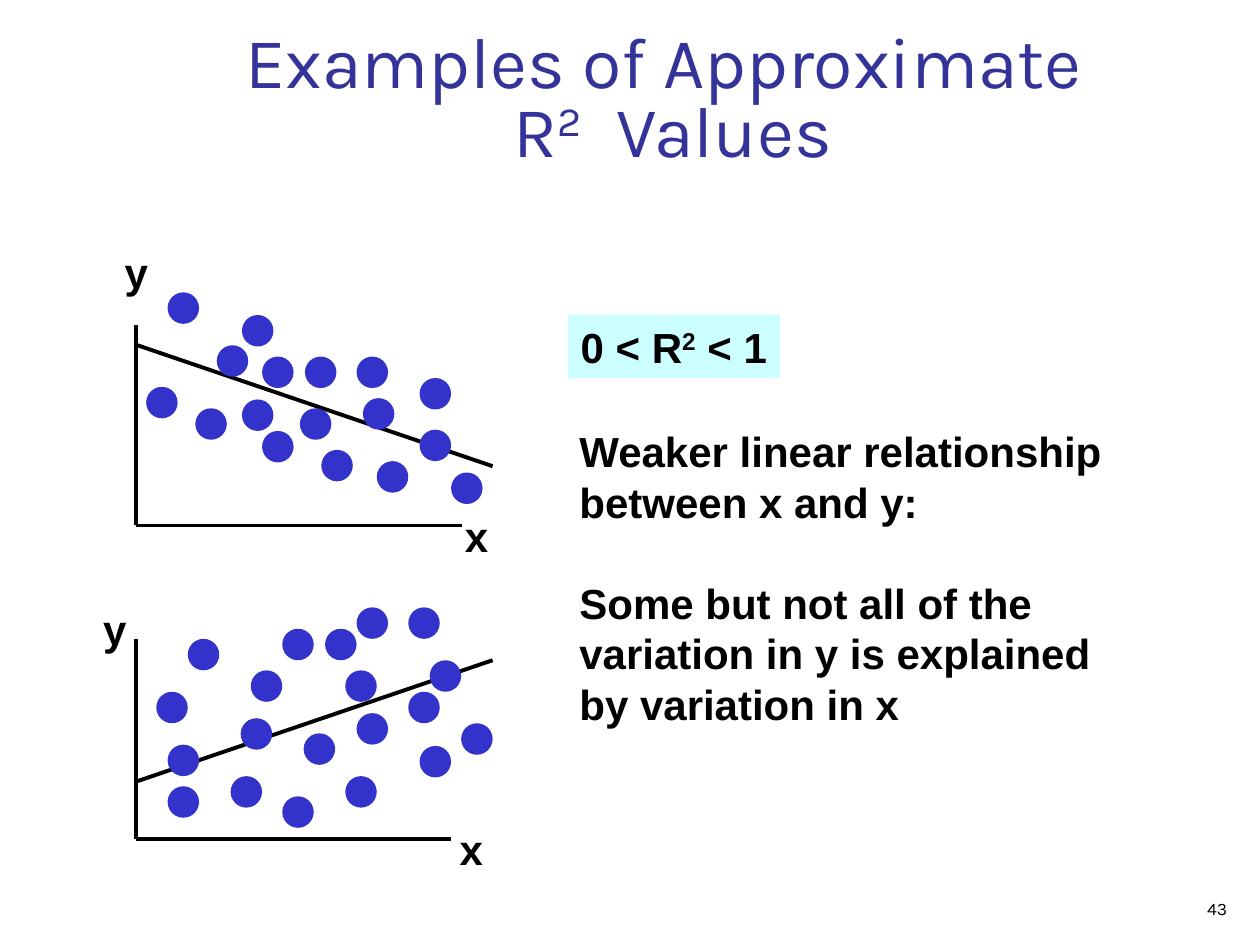
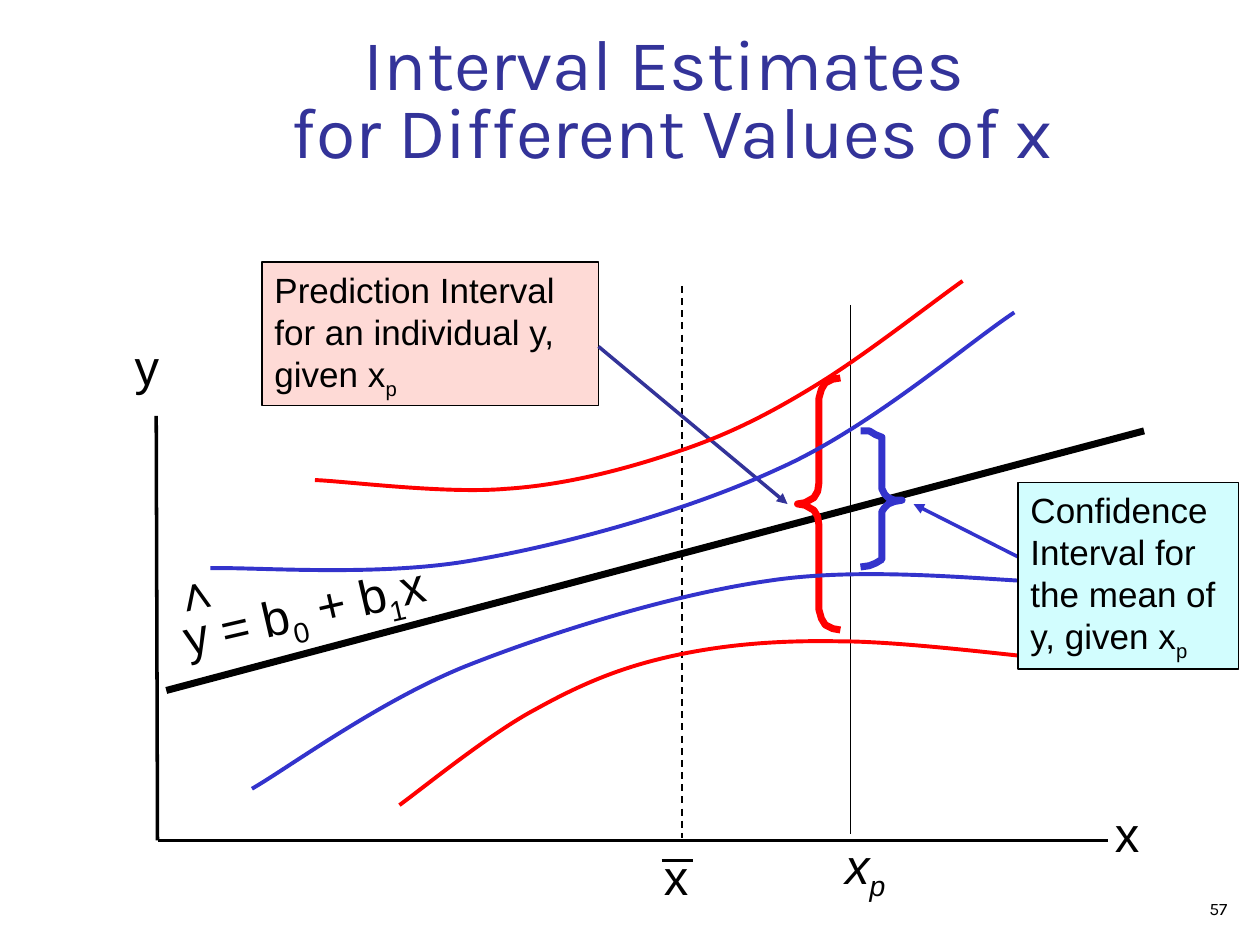
"""Build two regression slides: approximate R² values and interval estimates."""
from lxml.etree import SubElement
from pptx import Presentation
from pptx.dml.color import RGBColor
from pptx.enum.dml import MSO_LINE
from pptx.enum.shapes import MSO_CONNECTOR as CONNECTOR, MSO_SHAPE as SHAPE
from pptx.enum.text import MSO_ANCHOR as ANCHOR, PP_ALIGN as ALIGN
from pptx.oxml.ns import qn
from pptx.util import Pt

PX = 9144
BLACK = RGBColor(0x00, 0x00, 0x00)
INDIGO = RGBColor(0x33, 0x33, 0x99)
BLUE = RGBColor(0x33, 0x33, 0xCC)
RED = RGBColor(0xFF, 0x00, 0x00)
CYAN = RGBColor(0xCC, 0xFF, 0xFF)
PALE_CYAN = RGBColor(0xD2, 0xFD, 0xFE)
PINK = RGBColor(0xFE, 0xDA, 0xD6)
BASELINES = {"^": "30000", "_": "-25000"}
DOT = 25


def write(frame, *paragraphs, size=24, font="Arial", color=BLACK, bold=False, italic=False,
          align=ALIGN.LEFT, anchor=ANCHOR.TOP, wrap=True, spacing=None, gap=0, inset=10,
          tracking=0):
    """Fill a frame; "|" splits runs, ^ or _ raises or lowers one, tracking widens those."""
    frame.word_wrap = wrap
    frame.vertical_anchor = anchor
    frame.margin_left = frame.margin_right = inset * PX
    frame.margin_top = frame.margin_bottom = 5 * PX
    for number, text in enumerate(paragraphs):
        paragraph = frame.add_paragraph() if number else frame.paragraphs[0]
        paragraph.alignment = align
        paragraph.line_spacing = spacing
        if number:
            paragraph.space_before = Pt(gap)
        for piece in text.split("|"):
            baseline = BASELINES.get(piece[:1])
            for row, words in enumerate(piece[1 if baseline else 0:].split("\n")):
                if row:
                    paragraph.add_line_break()
                run = paragraph.add_run()
                run.text = words
                run.font.name, run.font.size = font, Pt(size)
                run.font.bold, run.font.italic = bold, italic
                run.font.color.rgb = color
                if baseline:
                    run.font._element.set("baseline", baseline)
                    if tracking:
                        run.font._element.set("spc", str(tracking * 100))


class Deck:
    """Hold the shared style and the current slide."""

    def __init__(self):
        self.presentation = Presentation()
        self.presentation.slide_width = 1000 * PX
        self.presentation.slide_height = 750 * PX
        self.shapes = None

    def slide(self, title, page, top, height):
        """Start a slide with its title and page number."""
        layout = self.presentation.slide_layouts[6]
        self.shapes = self.presentation.slides.add_slide(layout).shapes
        self.text((108, top, 852, height), title, size=41, font="Karla", color=INDIGO,
                  align=ALIGN.CENTER, anchor=ANCHOR.BOTTOM, spacing=0.8, inset=9, tracking=10)
        self.text((775, 700, 208, 34), page, size=10, font="Karla",
                  align=ALIGN.RIGHT, anchor=ANCHOR.BOTTOM, inset=9)

    def text(self, box, *paragraphs, rotation=0, **style):
        """Add a text box."""
        label = self.shapes.add_textbox(*(n * PX for n in box))
        label.rotation = rotation
        write(label.text_frame, *paragraphs, **style)

    def shape(self, kind, box, fill, outline=None):
        """Add a filled preset shape."""
        shape = self.shapes.add_shape(kind, *(n * PX for n in box))
        shape.shadow.inherit = False
        shape.fill.solid()
        shape.fill.fore_color.rgb = fill
        if outline is None:
            shape.line.fill.background()
        else:
            shape.line.color.rgb = outline
            shape.line.width = Pt(1)
        return shape

    def callout(self, box, fill, text, outline=None, **style):
        """Add a filled rectangle with text."""
        write(self.shape(SHAPE.RECTANGLE, box, fill, outline).text_frame, text, **style)

    def line(self, start, end, color=BLACK, width=2.0, dash=None, arrow=False):
        """Add a straight line or an arrow."""
        line = self.shapes.add_connector(CONNECTOR.STRAIGHT, *(n * PX for n in start + end))
        line.line.color.rgb = color
        line.line.width = Pt(width)
        if dash:
            line.line.dash_style = dash
        if arrow:
            SubElement(line.get_or_add_ln(), qn("a:tailEnd"), type="triangle")
        SubElement(line._element.spPr, qn("a:effectLst"))

    def stroke(self, points, color, width):
        """Add an open outline through the points."""
        builder = self.shapes.build_freeform(*points[0], scale=PX)
        builder.add_line_segments(points[1:], close=False)
        outline = builder.convert_to_shape()
        outline.shadow.inherit = False
        outline.fill.background()
        outline.line.color.rgb = color
        outline.line.width = Pt(width)
        return outline

    def curve(self, points, color):
        """Add a chain of cubic curves: a start, then two controls and an end for each."""
        outline = self.stroke(points, color, 2.25)
        track = next(outline._element.iter(qn("a:path")))
        sides = track.findall(qn("a:lnTo"))
        for first in range(0, len(sides), 3):
            cubic = SubElement(track, qn("a:cubicBezTo"))
            for side in sides[first:first + 3]:
                cubic.append(side[0])
                track.remove(side)

    def axes(self, top, origin, right):
        """Add a vertical and a horizontal axis."""
        self.line(top, origin)
        self.line(origin, right)

    def scatter(self, top, bottom, right, trend, dots, y_label, x_label):
        """Add a scatter plot with its trend line."""
        self.axes((108, top), (108, bottom), (right, bottom))
        self.line(*trend, width=2.25)
        for left, upper in dots:
            self.shape(SHAPE.OVAL, (left, upper, DOT, DOT), BLUE)
        for name, corner in (("y", y_label), ("x", x_label)):
            self.text(corner + (38, 50), name, bold=True, wrap=False)


def r_squared(deck):
    """Build the slide on R² values."""
    deck.slide("Examples of Approximate \nR|^2| Values", "43", 33, 108)
    falling = [(358, 375), (333, 341), (133, 232), (172, 274), (299, 366), (116, 307),
               (255, 357), (192, 250), (283, 283), (333, 300), (155, 324), (242, 283),
               (192, 317), (238, 324), (288, 316), (208, 283), (208, 342)]
    rising = [(133, 624), (133, 591), (324, 482), (341, 524), (183, 616), (324, 549),
              (274, 616), (283, 482), (224, 499), (124, 549), (149, 507), (191, 570),
              (283, 566), (241, 582), (224, 632), (366, 574), (274, 532), (258, 499),
              (199, 532), (333, 592)]
    deck.scatter(258, 417, 367, ((109, 274), (391, 370)), falling, (89, 191), (359, 400))
    deck.scatter(507, 666, 358, ((109, 620), (391, 524)), rising, (72, 474), (355, 649))
    deck.callout((451, 250, 168, 50), CYAN, "0 < R|^2| < 1", bold=True, wrap=False)
    deck.text((450, 333, 458, 250), "Weaker linear relationship between x and y:",
              "Some but not all of the variation in y is explained by variation in x",
              bold=True, gap=29)


def intervals(deck):
    """Build the slide on interval estimates."""
    deck.slide("Interval Estimates \nfor Different Values of x", "57", 17, 125)
    deck.axes((124, 330), (125, 667), (879, 667))
    deck.line((132, 548), (908, 342), width=4)
    deck.line((541, 227), (541, 665), width=1, dash=MSO_LINE.DASH)
    deck.line((675, 242), (675, 662), width=1)
    deck.callout((208, 208, 267, 114), PINK,
                 "Prediction Interval for an individual y, given x|_p", outline=BLACK, size=20)

    for name, left, top in (("y", 97, 262), ("x", 875, 633), ("x", 517, 667)):
        deck.text((left, top, 101, 56), name, size=28)
    deck.line((525, 683), (550, 683), width=1.5)
    deck.text((661, 658, 65, 63), "x|_p", size=28, italic=True)
    deck.text((134, 450, 266, 63), "y = b|_0| + b|_1|x", size=28, rotation=347)
    deck.text((125, 434, 116, 56), "∧", size=28, bold=True, rotation=348)

    upper_brace = [(667, 300), (661, 301), (655, 304), (652, 309), (650, 316), (650, 383),
                   (649, 390), (646, 395), (639, 399)]
    lower_brace = [(x, 800 - y) for x, y in reversed(upper_brace)]
    deck.stroke(upper_brace + [(633, 400)] + lower_brace, RED, 4)
    deck.line((475, 275), (625, 400), color=INDIGO, arrow=True)
    deck.stroke([(683, 342), (690, 342), (695, 345), (700, 347), (700, 351), (700, 388),
                 (702, 392), (705, 395), (710, 397), (716, 397), (710, 398), (705, 400),
                 (702, 403), (700, 406), (700, 441), (700, 444), (695, 447), (690, 449),
                 (683, 450)], BLUE, 4)
    deck.line((808, 442), (725, 400), color=BLUE, arrow=True)

    deck.curve([(200, 626), (228, 610), (300, 557), (369, 529), (437, 502), (533, 472),
                (610, 461), (688, 449), (788, 461), (834, 462)], BLUE)
    deck.curve([(317, 639), (335, 626), (389, 582), (425, 563), (461, 543), (492, 530),
                (532, 521), (572, 512), (615, 508), (666, 509), (716, 509), (800, 520),
                (835, 523)], RED)
    deck.curve([(250, 381), (275, 382), (353, 392), (401, 388), (449, 385), (498, 372),
                (539, 358), (581, 344), (615, 326), (652, 303), (689, 280), (740, 240),
                (764, 223)], RED)
    deck.curve([(167, 451), (201, 450), (299, 458), (374, 445), (450, 432), (547, 405),
                (618, 372), (690, 340), (766, 274), (805, 248)], BLUE)
    deck.callout((808, 383, 175, 148), PALE_CYAN,
                 "Confidence Interval for the mean of y, given x|_p", outline=BLACK, size=20)


def main():
    """Build and save the deck."""
    deck = Deck()
    r_squared(deck)
    intervals(deck)
    deck.presentation.save("out.pptx")


if __name__ == "__main__":
    main()
